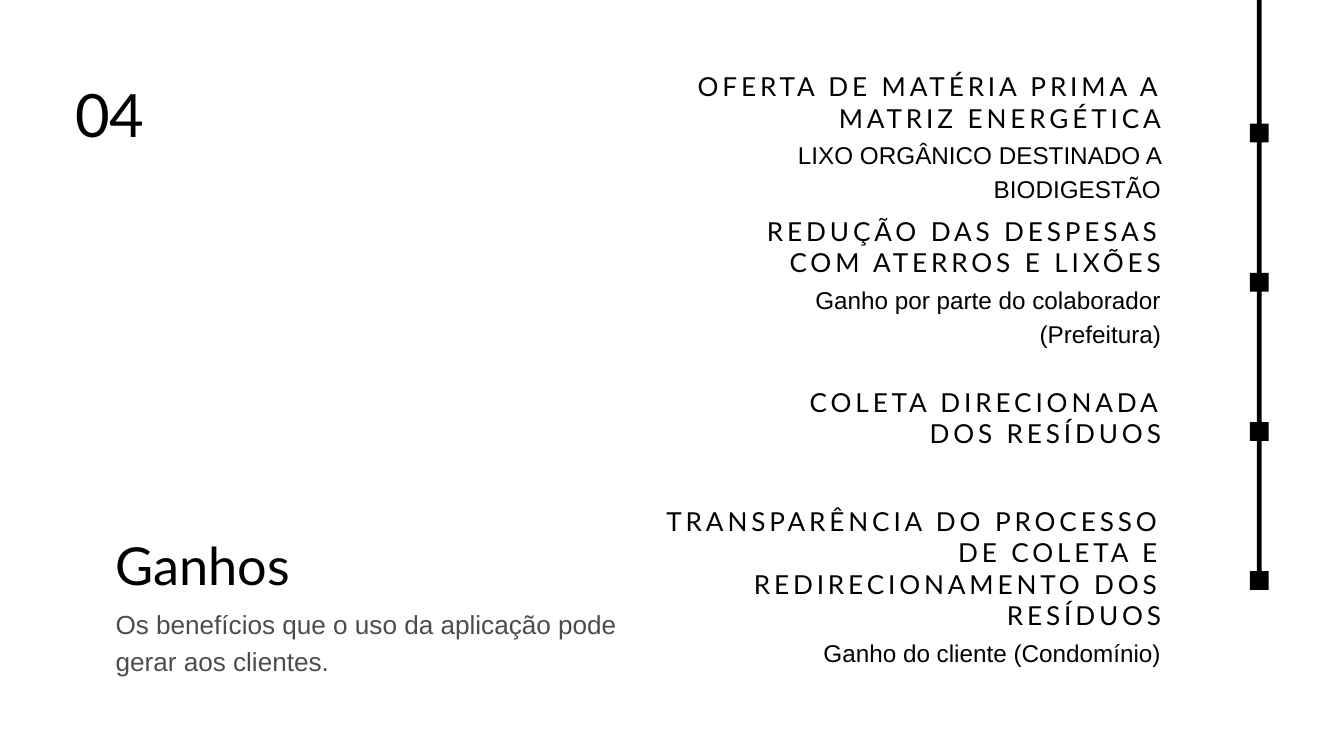
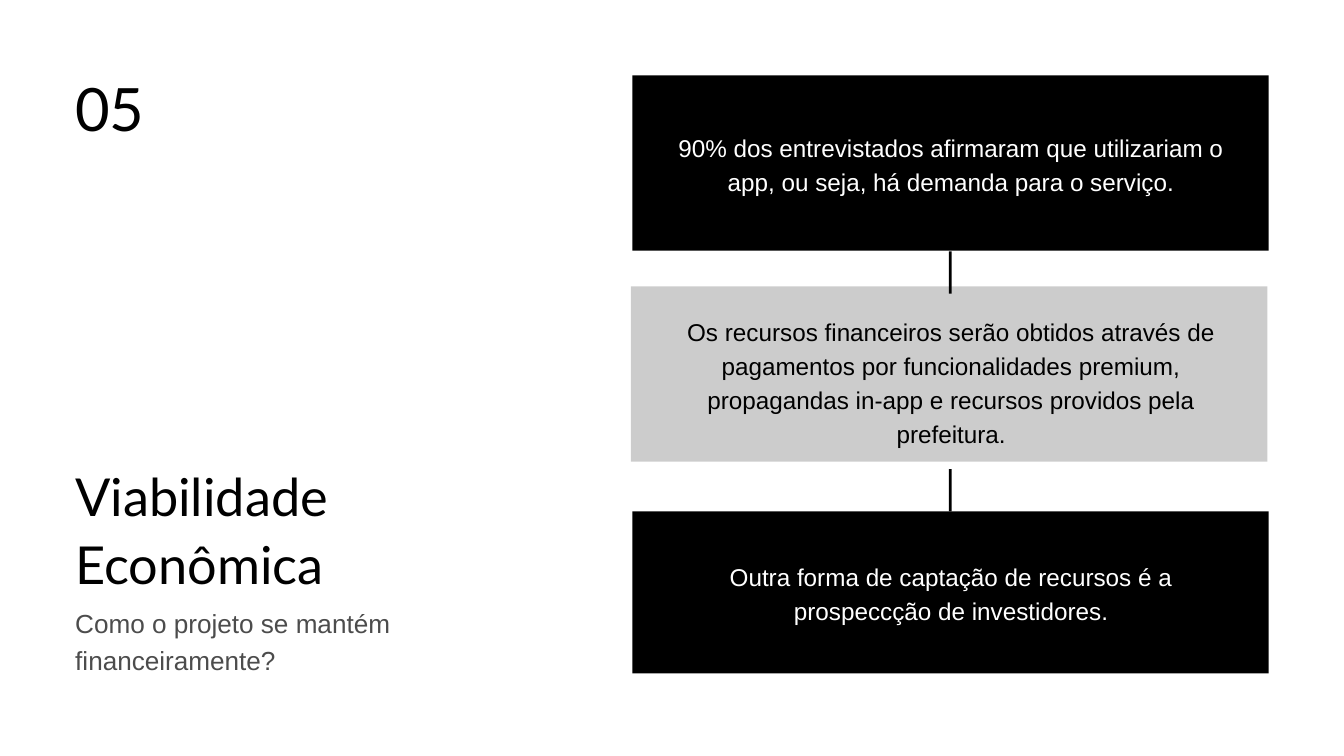
from dataclasses import dataclass

from lxml.etree import SubElement
from pptx import Presentation
from pptx.dml.color import RGBColor as RGB
from pptx.enum.shapes import MSO_SHAPE as SHAPE
from pptx.enum.text import MSO_ANCHOR as ANCHOR, MSO_AUTO_SIZE as AUTO, PP_ALIGN as ALIGN
from pptx.oxml.ns import qn
from pptx.util import Inches, Pt

COLS, ROWS = 20, 11.25


@dataclass(frozen=True)
class TextStyle:
    font: str
    size: int
    leading: float
    tracking: float = 0
    opacity: int = 100


class Theme:
    INK = RGB(0, 0, 0)
    PAPER = RGB(255, 255, 255)
    TINT = 20
    NUMBER = TextStyle("Lato", 64, 64, tracking=-0.6)
    TITLE = TextStyle("Lato", 56, 72.8)
    SUBTITLE = TextStyle("Arial", 28, 39.2, opacity=70)
    HEADING = TextStyle("Lato", 28, 33.6, tracking=4.2)
    BODY = TextStyle("Arial", 26, 36.4)


def set_opacity(parent, percent):
    """Make the solid colour inside an XML element partly transparent."""
    if percent < 100:
        color = parent.find(f"{qn('a:solidFill')}/{qn('a:srgbClr')}")
        SubElement(color, qn("a:alpha")).set("val", str(percent * 1000))


class Deck:
    """Holds the presentation and the current slide; lengths are grid columns and rows."""

    def __init__(self):
        self.prs = Presentation()
        self.prs.slide_width, self.prs.slide_height = Inches(20), Inches(11.25)
        self.col = self.prs.slide_width / COLS
        self.row = self.prs.slide_height / ROWS

    def box(self, x, y, w, h):
        return (round(x * self.col), round(y * self.row),
                round(w * self.col), round(h * self.row))

    def new_slide(self):
        self.slide = self.prs.slides.add_slide(self.prs.slide_layouts[6])
        fill = self.slide.background.fill
        fill.solid()
        fill.fore_color.rgb = Theme.PAPER

    def text(self, x, y, w, h, words, style, align=ALIGN.LEFT, color=Theme.INK):
        sp = self.slide.shapes.add_textbox(*self.box(x, y, w, h))
        tf = sp.text_frame
        tf.word_wrap, tf.auto_size = True, AUTO.SHAPE_TO_FIT_TEXT
        tf.vertical_anchor = ANCHOR.TOP
        tf.margin_left = tf.margin_right = tf.margin_top = tf.margin_bottom = 0
        p = tf.paragraphs[0]
        p.text, p.alignment, p.line_spacing = words, align, Pt(style.leading)
        p.font.name, p.font.size, p.font.color.rgb = style.font, Pt(style.size), color
        props = p._p.pPr.find(qn("a:defRPr"))
        if style.tracking:
            props.set("spc", str(round(style.tracking * 100)))
        set_opacity(props, style.opacity)

    def rect(self, x, y, w, h, opacity=100):
        sp = self.slide.shapes.add_shape(SHAPE.RECTANGLE, *self.box(x, y, w, h))
        sp.shadow.inherit = False
        sp.fill.solid()
        sp.fill.fore_color.rgb = Theme.INK
        sp.line.fill.background()
        set_opacity(sp._element.spPr, opacity)

    def number(self, y, words):
        self.text(1.12, y, 1.18, 0.94, words, Theme.NUMBER)

    def title_block(self, x, w, title_y, title_h, title, subtitle_y, subtitle):
        self.text(x, title_y, w, title_h, title, Theme.TITLE)
        self.text(x, subtitle_y, w, 1.06, subtitle, Theme.SUBTITLE)

    def gain(self, y, w, heading, heading_h, body=None, body_h=0):
        """Right-aligned heading with an optional line of detail below it."""
        right, gap = 17.28, 0.05
        self.text(right - w, y, w, heading_h, heading, Theme.HEADING, ALIGN.RIGHT)
        if body:
            self.text(right - w, y + heading_h + gap, w, body_h, body, Theme.BODY, ALIGN.RIGHT)

    def timeline(self, center, first, step, count):
        marker, line = 0.28, 0.07
        last = first + step * (count - 1)
        self.rect(center - line / 2, 0, line, last)
        for i in range(count):
            self.rect(center - marker / 2, first + i * step, marker, marker)


def build_gains(deck):
    deck.new_slide()
    deck.number(1.34, "04")
    deck.title_block(1.72, 8.05, 7.86, 0.98, "Ganhos",
                     8.98, "Os benefícios que o uso da aplicação pode gerar aos clientes.")
    deck.gain(1.05, 7.13, "OFERTA DE MATÉRIA PRIMA A MATRIZ ENERGÉTICA", 0.92,
              "LIXO ORGÂNICO DESTINADO A BIODIGESTÃO", 0.97)
    deck.gain(3.2, 6, "REDUÇÃO DAS DESPESAS COM ATERROS E LIXÕES", 0.92,
              "Ganho por parte do colaborador (Prefeitura)", 0.97)
    deck.gain(5.75, 6, "COLETA DIRECIONADA DOS RESÍDUOS", 0.92)
    deck.gain(7.52, 7.52,
              "TRANSPARÊNCIA DO PROCESSO DE COLETA E REDIRECIONAMENTO DOS RESÍDUOS", 1.85,
              "Ganho do cliente (Condomínio)", 0.47)
    deck.timeline(center=18.74, first=1.84, step=2.22, count=4)


def build_viability(deck):
    deck.new_slide()
    deck.number(1.25, "05")
    deck.title_block(1.12, 5.73, 6.83, 1.99, "Viabilidade Econômica",
                     8.96, "Como o projeto se mantém financeiramente?")
    for link_y in (3.74, 6.98):
        deck.rect(14.12, link_y, 0.04, 0.63)

    panels = [
        (9.41, 1.12, 2.61, 100, Theme.PAPER, 1.91, 0.99,
         "90% dos entrevistados afirmaram que utilizariam o app, ou seja, "
         "há demanda para o serviço."),
        (9.39, 4.26, 2.61, Theme.TINT, Theme.INK, 4.65, 1.99,
         "Os recursos financeiros serão obtidos através de pagamentos por funcionalidades "
         "premium, propagandas in-app e recursos providos pela prefeitura."),
        (9.41, 7.61, 2.41, 100, Theme.PAPER, 8.29, 0.99,
         "Outra forma de captação de recursos é a prospeccção de investidores."),
    ]
    for x, y, h, opacity, color, text_y, text_h, words in panels:
        deck.rect(x, y, 9.47, h, opacity)
        deck.text(10, text_y, 8.31, text_h, words, Theme.BODY, ALIGN.CENTER, color)


def main():
    deck = Deck()
    build_gains(deck)
    build_viability(deck)
    deck.prs.save("out.pptx")


if __name__ == "__main__":
    main()
